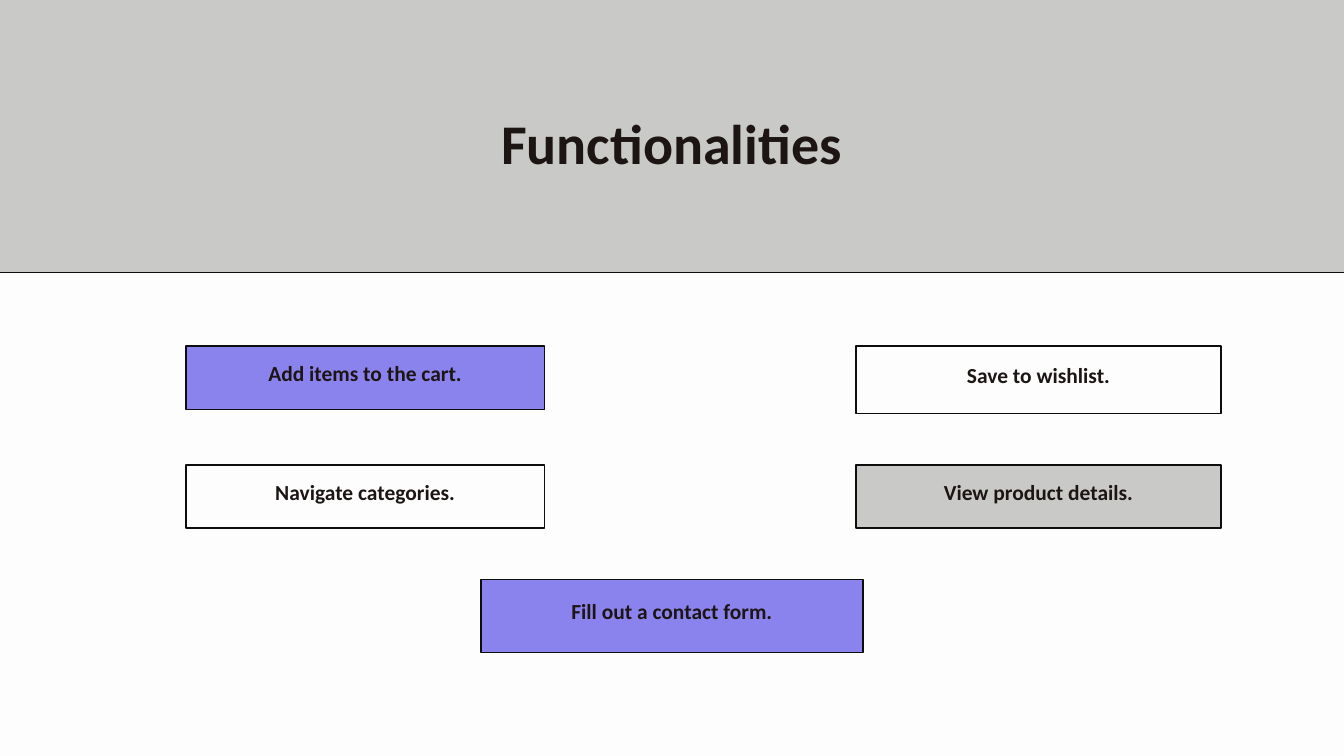
from pptx import Presentation
from pptx.dml.color import RGBColor
from pptx.enum.shapes import MSO_SHAPE as Shape
from pptx.enum.text import MSO_ANCHOR as Anchor, PP_ALIGN as Align
from pptx.util import Pt

PX = 9144
WIDTH, HEIGHT = 2000, 1125
FONT = "Calibri"
INK, LINE = "1C1514", "0D0D0D"
WHITE, GREY, VIOLET = "FDFDFE", "C9CAC7", "8B83ED"
LEFT_COLUMN, RIGHT_COLUMN = (277, 533), (1274, 543)
TOP_ROW, MIDDLE_ROW = 515, 692
TEXT_RISE = 20

CARDS = [
    ("Add items to the cart.", VIOLET, LEFT_COLUMN, TOP_ROW, 94),
    ("Navigate categories.", WHITE, LEFT_COLUMN, MIDDLE_ROW, 94),
    ("View product details.", GREY, RIGHT_COLUMN, MIDDLE_ROW, 94),
    ("Fill out a contact form.", VIOLET, (716, 568), 862, 109),
    ("Save to wishlist.", WHITE, RIGHT_COLUMN, TOP_ROW, 100),
]


def color(value):
    """Turn a hex string into a colour."""
    return RGBColor.from_string(value)


def emu(*lengths):
    """Turn px lengths into EMU."""
    return [length * PX for length in lengths]


def add_panel(shapes, box, fill):
    """Add an outlined, filled rectangle."""
    panel = shapes.add_shape(Shape.RECTANGLE, *emu(*box))
    panel.shadow.inherit = False
    panel.fill.solid()
    panel.fill.fore_color.rgb = color(fill)
    panel.line.color.rgb = color(LINE)
    panel.line.width = Pt(1.5)


def add_label(shapes, box, text, size, spacing, inset, anchor):
    """Add one centred bold line of text."""
    frame = shapes.add_textbox(*emu(*box)).text_frame
    frame.word_wrap = True
    frame.vertical_anchor = anchor
    frame.margin_left = frame.margin_right = inset * PX
    frame.margin_top = frame.margin_bottom = inset * PX
    frame.text = text
    para = frame.paragraphs[0]
    para.alignment = Align.CENTER
    para.line_spacing = Pt(spacing)
    font = para.runs[0].font
    font.name, font.size, font.bold = FONT, Pt(size), True
    font.color.rgb = color(INK)


def add_banner(page, box):
    """Add the title band, which bleeds over the slide edges."""
    left, top, width, height = box
    add_panel(page.shapes, box, GREY)
    title_box = (left + 206, top + 187, width - 414, 101)
    add_label(page.shapes, title_box, "Functionalities", 60, 72, 0, Anchor.TOP)


def add_card(page, box, text, fill):
    """Add a functionality card whose text sits slightly above the middle."""
    left, top, width, height = box
    shapes = page.shapes.add_group_shape().shapes
    add_panel(shapes, box, fill)
    text_box = (left, top - TEXT_RISE, width, height + TEXT_RISE)
    add_label(shapes, text_box, text, 23, 32.2, 6, Anchor.MIDDLE)


def main():
    """Build and save the deck."""
    deck = Presentation()
    deck.slide_width, deck.slide_height = emu(WIDTH, HEIGHT)
    page = deck.slides.add_slide(deck.slide_layouts[6])
    page.background.fill.solid()
    page.background.fill.fore_color.rgb = color(WHITE)
    add_banner(page, (-23, -25, 2047, 431))
    for text, fill, (left, width), top, height in CARDS:
        add_card(page, (left, top, width, height), text, fill)
    deck.save("out.pptx")


if __name__ == "__main__":
    main()
